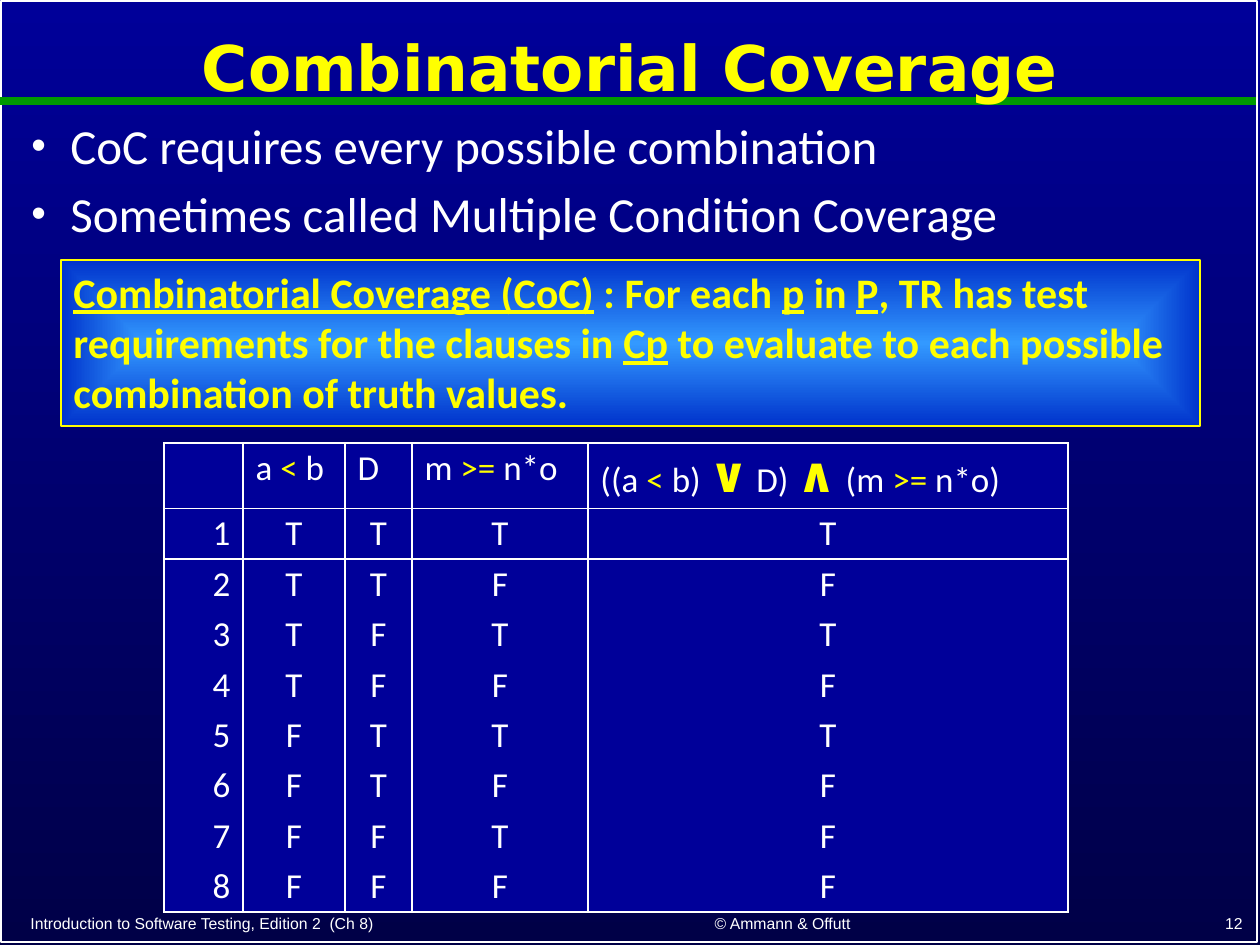
from itertools import product

from lxml import etree
from pptx import Presentation
from pptx.dml.color import RGBColor
from pptx.enum.shapes import MSO_CONNECTOR, MSO_SHAPE
from pptx.enum.text import MSO_ANCHOR as ANCHOR, MSO_AUTO_SIZE as AUTO, PP_ALIGN as ALIGN
from pptx.oxml.ns import qn
from pptx.util import Emu, Pt

# Content: each run is (text, style), the style naming what differs from the base
TITLE = "Combinatorial Coverage"
BULLETS = ["CoC requires every possible combination",
           "Sometimes called Multiple Condition Coverage"]
UNDER = {"underline": True}
DEFINITION = [
    ("Combinatorial Coverage (CoC)", UNDER), (" : For each ", {}), ("p", UNDER),
    (" in ", {}), ("P", UNDER), (", TR has test requirements for the clauses in ", {}),
    ("Cp", UNDER),
    (" to evaluate to each possible combination of truth values.", {}),
]
REL = {"color": "yellow"}
LOGIC = {"color": "yellow", "size": 28, "bold": True}
HEADER = [
    [],
    [("a ", {}), ("<", REL), (" b", {})],
    [("D", {})],
    [("m ", {}), (">=", REL), (" n*o", {})],
    [("((a ", {}), ("<", REL), (" b) ", {}), ("∨", LOGIC), (" D) ", {}), ("∧", LOGIC),
     (" ", {"size": 24}), ("(m ", {}), (">=", REL), (" n*o)", {})],
]
FOOTERS = [  # text, box in px, alignment
    ("Introduction to Software Testing, Edition 2  (Ch 8)", (18, 897, 548, 42), ALIGN.LEFT),
    ("© Ammann & Offutt", (583, 896, 399, 43), ALIGN.CENTER),
    ("12", (993, 895, 262, 44), ALIGN.RIGHT),
]
COL_W = [79, 102, 67, 176, 480]
HEAD_H, ROW_H = 58, 50
COLORS = {"top": "000099", "bottom": "000047", "white": "FFFFFF", "yellow": "FFFF00",
          "green": "009900", "glow": "3399FF", "edge": "0033CC"}
NO_GRID = "{2D5ABB26-0587-4C30-8999-92F81FD0307C}"
EMU_PER_PX = 914400 / 126


def px(n):
    return Emu(round(n * EMU_PER_PX))


def box(*lengths):
    return [px(n) for n in lengths]


def rgb(name):
    return RGBColor.from_string(COLORS[name])


def add_run(p, text, size, font="Calibri", color="white", bold=False, underline=False):
    r = p.add_run()
    r.text = text
    f = r.font
    f.name, f.size, f.bold, f.underline = font, Pt(size), bold, underline
    f.color.rgb = rgb(color)


def add_runs(p, runs, **base):
    for text, style in runs:
        add_run(p, text, **{**base, **style})


def set_gradient(fill, first, last):
    fill.gradient()
    for stop, name in zip(fill.gradient_stops, (first, last)):
        stop.color.rgb = rgb(name)


def set_line(line, color, width):
    line.color.rgb = rgb(color)
    line.width = Pt(width)


def set_borders(cell, sides):
    tcPr = cell._tc.get_or_add_tcPr()
    for i, side in enumerate(sides):
        ln = etree.Element(qn(f"a:ln{side}"), w=str(Pt(1)))
        fill = etree.SubElement(ln, qn("a:solidFill"))
        etree.SubElement(fill, qn("a:srgbClr"), val=COLORS["white"])
        tcPr.insert(i, ln)


prs = Presentation()
prs.slide_width, prs.slide_height = px(1260), px(945)
s = prs.slides.add_slide(prs.slide_layouts[5])

# Background, frame and rule
set_gradient(s.background.fill, "top", "bottom")
s.background.fill.gradient_angle = 270
frame = s.shapes.add_shape(MSO_SHAPE.RECTANGLE, *box(1, 1, 1256, 941))
frame.shadow.inherit = False
frame.fill.background()
set_line(frame.line, "white", 1)
rule = s.shapes.add_connector(MSO_CONNECTOR.STRAIGHT, *box(0, 101, 1256, 101))
set_line(rule.line, "green", 4.5)
etree.SubElement(rule._element.spPr, qn("a:effectLst"))

# Footers
for text, place, align in FOOTERS:
    tf = s.shapes.add_textbox(*box(*place)).text_frame
    tf.word_wrap = True
    tf.vertical_anchor = ANCHOR.BOTTOM
    tf.paragraphs[0].alignment = align
    add_run(tf.paragraphs[0], text, 9, font="Arial")

# Title, brought in front of the rule
title = s.shapes.title
s.shapes._spTree.append(title._element)
title.left, title.top, title.width, title.height = box(0, 6, 1260, 131)
tf = title.text_frame
tf.auto_size = AUTO.NONE
tf.vertical_anchor = ANCHOR.MIDDLE
p = tf.paragraphs[0]
p.alignment, p.line_spacing = ALIGN.CENTER, 0.9
add_run(p, TITLE, 36, font="DejaVu Sans", color="yellow", bold=True)

# Bullets
tf = s.shapes.add_textbox(*box(19, 116, 1173, 126)).text_frame
tf.word_wrap = True
for i, text in enumerate(BULLETS):
    p = tf.add_paragraph() if i else tf.paragraphs[0]
    p.line_spacing = 0.9
    p.space_before = Pt(8.4 if i else 0)
    pPr = p._p.get_or_add_pPr()
    pPr.set("marL", str(px(39)))
    pPr.set("indent", str(-px(39)))
    etree.SubElement(pPr, qn("a:buSzPct"), val="85000")
    etree.SubElement(pPr, qn("a:buFont"), typeface="Arial")
    etree.SubElement(pPr, qn("a:buChar"), char="•")
    add_run(p, text, 28)

# Definition box with a gradient that spreads from its centre
sp = s.shapes.add_shape(MSO_SHAPE.RECTANGLE, *box(61, 260, 1139, 166))
sp.shadow.inherit = False
set_gradient(sp.fill, "glow", "edge")
lin = sp._element.spPr.find(qn("a:gradFill")).find(qn("a:lin"))
spread = etree.Element(qn("a:path"), path="shape")
etree.SubElement(spread, qn("a:fillToRect"), l="50000", t="50000", r="50000", b="50000")
lin.getparent().replace(lin, spread)
set_line(sp.line, "yellow", 1.5)
tf = sp.text_frame
tf.word_wrap = True
tf.vertical_anchor = ANCHOR.TOP
p = tf.paragraphs[0]
p.alignment = ALIGN.LEFT
add_runs(p, DEFINITION, size=24, color="yellow", bold=True)

# Truth table, its last column worked out from the predicate
rows = [HEADER]
for n, (less, d, more) in enumerate(product([True, False], repeat=3), 1):
    values = [less, d, more, (less or d) and more]
    rows.append([[(str(n), {})]] + [[("T" if v else "F", {})] for v in values])

last = len(rows) - 1
heights = [HEAD_H] + [ROW_H] * last
shape = s.shapes.add_table(len(rows), len(COL_W),
                           *box(164, 443, sum(COL_W), sum(heights)))
table = shape.table
table.first_row = table.horz_banding = False
next(shape._element.iter(qn("a:tableStyleId"))).text = NO_GRID
for column, w in zip(table.columns, COL_W):
    column.width = px(w)
for i, (row, h) in enumerate(zip(rows, heights)):
    table.rows[i].height = px(h)
    sides = "LR" + ("T" if i < 2 else "") + ("B" if i in (0, last) else "")
    for j, runs in enumerate(row):
        cell = table.cell(i, j)
        cell.fill.solid()
        cell.fill.fore_color.rgb = rgb("top")
        set_borders(cell, sides)
        p = cell.text_frame.paragraphs[0]
        p.line_spacing = 0.9
        if i:
            p.alignment = ALIGN.CENTER if j else ALIGN.RIGHT
        add_runs(p, runs, size=20)

prs.save("out.pptx")
